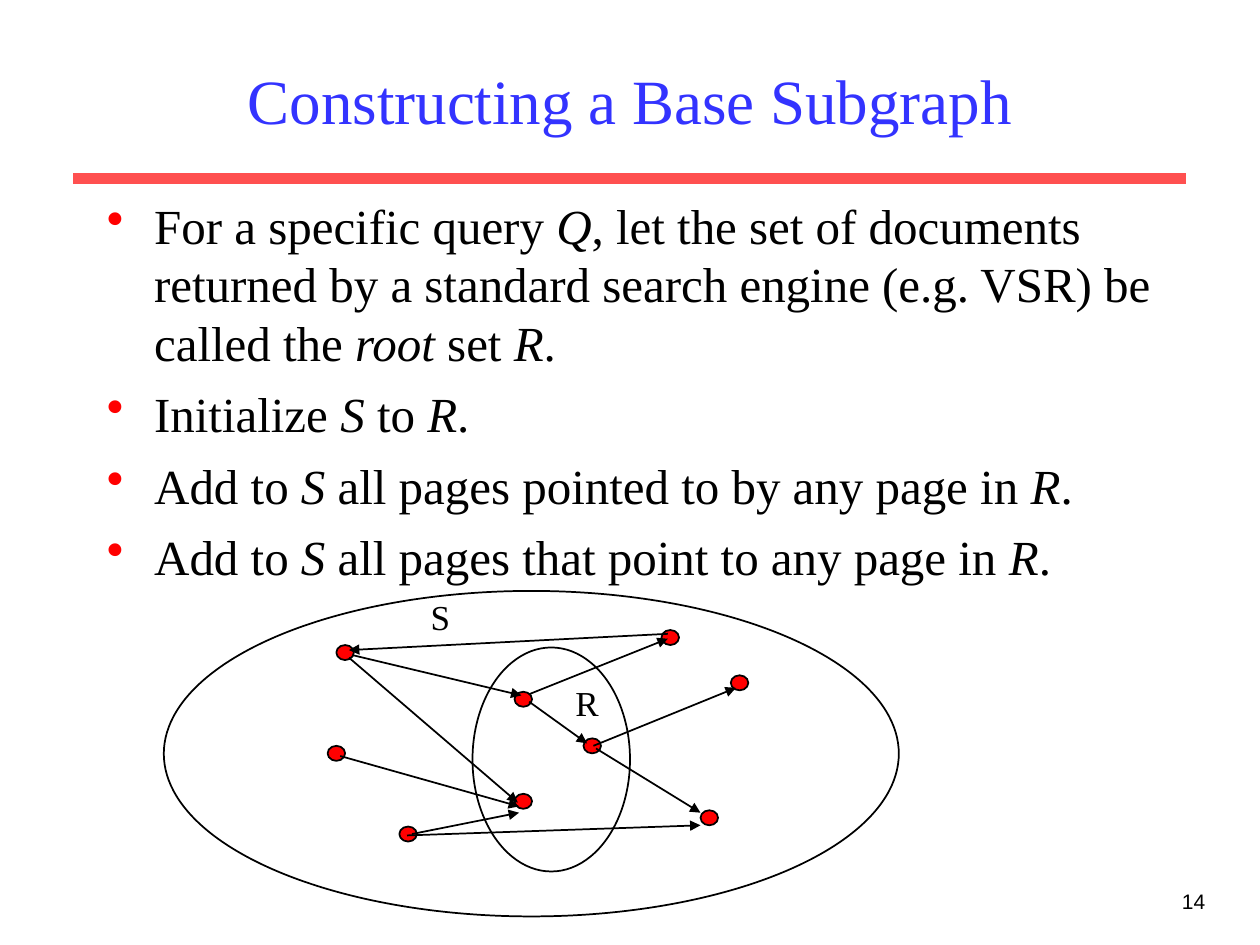
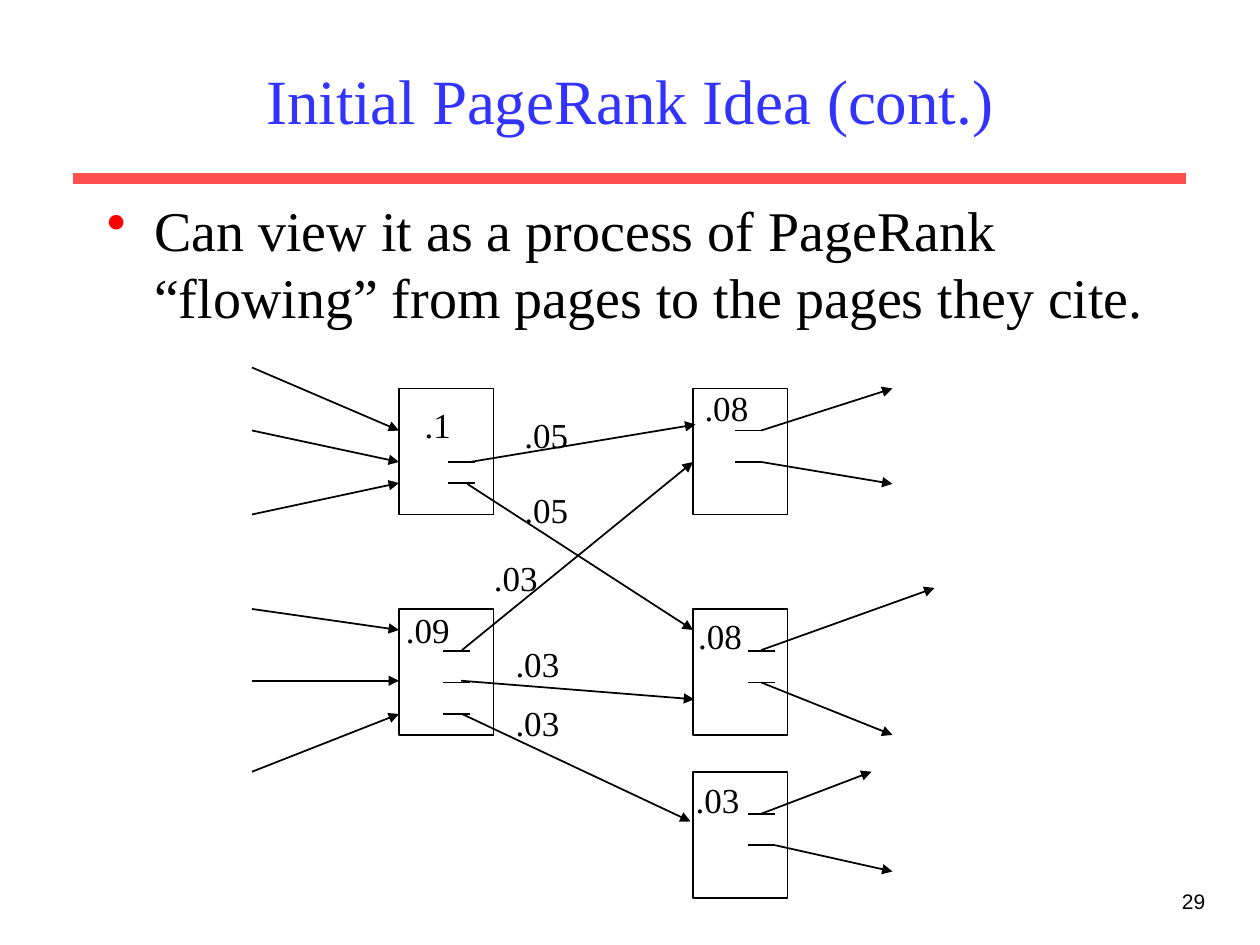
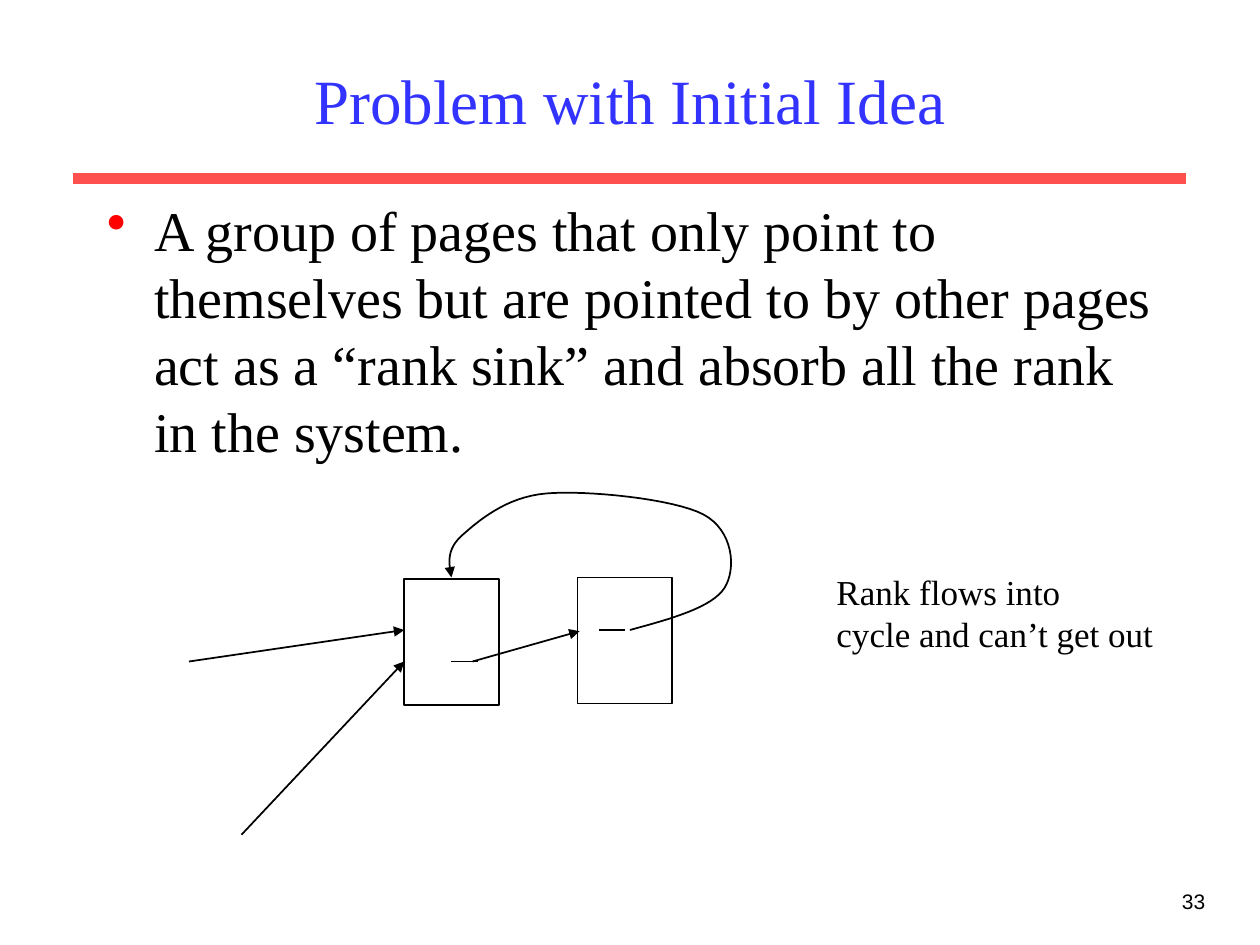
import pptx
import pptx.util
import pptx.dml.color
import pptx.enum.shapes
import pptx.enum.text
import pptx.oxml
import pptx.oxml.ns

Pt = pptx.util.Pt
SHAPES = pptx.enum.shapes.MSO_SHAPE
ALIGN = pptx.enum.text.PP_ALIGN
ANCHOR = pptx.enum.text.MSO_ANCHOR
AUTO_SIZE = pptx.enum.text.MSO_AUTO_SIZE

SERIF, SANS = "Times New Roman", "Arial"
BLACK, BLUE, RED, CORAL = "000000", "3333FF", "FF0000", "FF5050"


def color(hex_code):
    return pptx.dml.color.RGBColor.from_string(hex_code)


def xml(tag, content=""):
    return pptx.oxml.parse_xml(f"<a:{tag} {pptx.oxml.ns.nsdecls('a')}>{content}</a:{tag.split()[0]}>")


def write(paragraph, text, size=20, font=SERIF, ink=BLACK, align=ALIGN.LEFT):
    """Fill a paragraph; parts between asterisks are italic."""
    paragraph.alignment = align
    for number, part in enumerate(text.split("*")):
        if part:
            run = paragraph.add_run()
            run.text = part
            run.font.size = Pt(size)
            run.font.name = font
            run.font.color.rgb = color(ink)
            run.font.italic = number % 2 == 1


def bezier_points(start, curves, steps=16):
    """Points along a chain of cubic curves."""
    points = []
    for first, second, end in curves:
        for step in range(1, steps + 1):
            t = step / steps
            u = 1 - t
            points.append(tuple(
                u**3 * a + 3 * u * u * t * b + 3 * u * t * t * c + t**3 * d
                for a, b, c, d in zip(start, first, second, end)))
        start = end
    return points


class Deck:
    def __init__(self):
        self.presentation = pptx.Presentation()
        self.presentation.slide_width = Pt(720)
        self.presentation.slide_height = Pt(540)
        self.slide = None

    def new_slide(self, heading, page):
        self.slide = self.presentation.slides.add_slide(self.presentation.slide_layouts[5])
        # Band under the title
        self.line(42, 102, 678, 102, ink=CORAL, width=6)
        # Page number
        self.text(545.8, 504, 150, 36, [page], wrap=True, size=12, font=SANS, align=ALIGN.RIGHT)
        # Title
        title = self.slide.shapes.title
        title.left, title.top, title.width, title.height = Pt(54), Pt(18), Pt(612), Pt(78)
        title.text_frame.vertical_anchor = ANCHOR.MIDDLE
        title.text_frame.auto_size = AUTO_SIZE.NONE
        write(title.text_frame.paragraphs[0], heading, size=36, ink=BLUE, align=ALIGN.CENTER)

    def text(self, left, top, width, height, lines, wrap=False, **style):
        frame = self.slide.shapes.add_textbox(Pt(left), Pt(top), Pt(width), Pt(height)).text_frame
        frame.word_wrap = wrap
        frame.auto_size = AUTO_SIZE.NONE if wrap else AUTO_SIZE.SHAPE_TO_FIT_TEXT
        for number, line in enumerate(lines):
            write(frame.add_paragraph() if number else frame.paragraphs[0], line, **style)
        return frame

    def label(self, center, top, text, width=39.6, align=ALIGN.CENTER):
        self.text(center - width / 2, top, width, 31.7, [text], align=align)

    def bullets(self, items, size, before, width=612):
        frame = self.text(54, 108, width, 369, items, wrap=True, size=size)
        for paragraph in frame.paragraphs:
            paragraph.space_before = Pt(before)
            properties = paragraph._p.get_or_add_pPr()
            properties.set("marL", str(Pt(27)))
            properties.set("indent", str(-Pt(27)))
            properties.append(xml("buClr", f'<a:srgbClr val="{RED}"/>'))
            properties.append(xml('buChar char="•"'))

    def line(self, x1, y1, x2, y2, ink=BLACK, width=1, arrow=False):
        connector = self.slide.shapes.add_connector(
            pptx.enum.shapes.MSO_CONNECTOR.STRAIGHT, Pt(x1), Pt(y1), Pt(x2), Pt(y2))
        self.outline(connector, ink, width, arrow)
        connector._element.spPr.append(xml("effectLst"))

    def arrows(self, ends):
        for x1, y1, x2, y2 in ends:
            self.line(x1, y1, x2, y2, arrow=True)

    def outline(self, shape, ink=BLACK, width=1, arrow=False):
        shape.line.color.rgb = color(ink)
        shape.line.width = Pt(width)
        if arrow:
            shape.line._get_or_add_ln().append(xml('tailEnd type="triangle"'))

    def shape(self, kind, left, top, width, height, fill=None):
        shape = self.slide.shapes.add_shape(kind, Pt(left), Pt(top), Pt(width), Pt(height))
        self.finish(shape, fill)

    def finish(self, shape, fill=None, arrow=False):
        shape.shadow.inherit = False
        if fill:
            shape.fill.solid()
            shape.fill.fore_color.rgb = color(fill)
        else:
            shape.fill.background()
        self.outline(shape, arrow=arrow)

    def curved_arrow(self, start, curves):
        builder = self.slide.shapes.build_freeform(Pt(start[0]), Pt(start[1]))
        builder.add_line_segments(
            [(Pt(x), Pt(y)) for x, y in bezier_points(start, curves)], close=False)
        self.finish(builder.convert_to_shape(), arrow=True)

    def page_box(self, left, top, links=()):
        """A web page with short strokes for its outgoing links."""
        self.shape(SHAPES.RECTANGLE, left, top, 54, 72)
        for x, y in links:
            self.line(x, y, x + 15, y)


def base_subgraph(deck):
    deck.new_slide("Constructing a Base Subgraph", "14")
    deck.bullets([
        "For a specific query *Q*, let the set of documents returned by a standard "
        "search engine (e.g. VSR) be called the *root* set *R*.",
        "Initialize *S *to *R*.",
        "Add to *S *all pages pointed to by any page in *R*.",
        "Add to *S* all pages that point to any page in *R*.",
    ], size=28, before=7, width=636)
    # Pages
    for x, y in [(294, 395.3), (333.4, 421.9), (294, 453.6), (417.6, 385.9), (400.3, 463),
                 (192.2, 368.6), (187.2, 426.2), (378, 360), (228.2, 472.3)]:
        deck.shape(SHAPES.OVAL, x, y, 10, 8.6, fill=RED)
    # Root set and base set
    deck.shape(SHAPES.OVAL, 270, 370, 90, 128)
    deck.label(335.5, 385.9, "R", width=27.4, align=ALIGN.RIGHT)
    deck.shape(SHAPES.OVAL, 93.6, 337.7, 420, 186)
    deck.label(251.6, 337, "S", width=25.2)
    # Links between pages
    deck.arrows([
        (201.6, 374.4, 298, 397.4), (199.4, 375.8, 295.9, 458.6),
        (194.4, 432, 296.6, 460.8), (235.4, 476.6, 296.6, 464.4),
        (232.6, 477.4, 400.3, 471.6), (340.6, 427.7, 400.3, 464.4),
        (339.1, 426.2, 420.5, 393.1), (302.4, 401, 335.5, 424.8),
        (302.4, 396.7, 381.6, 365), (381.6, 362.2, 199.4, 371.5)])


def rank_flow(deck):
    deck.new_slide("Initial PageRank Idea (cont.)", "29")
    deck.bullets(["Can view it as a process of PageRank “flowing” from pages to the pages "
                  "they cite."], size=32, before=8)
    # Citing pages, then cited pages
    deck.page_box(228, 222, [(256.3, 264), (256.3, 276)])
    deck.page_box(228, 348, [(253.4, 372), (253.4, 390), (253.4, 408)])
    deck.page_box(396, 222, [(420, 246), (420, 264)])
    deck.page_box(396, 348, [(427.7, 372), (427.7, 390)])
    deck.page_box(396, 441, [(427.7, 465), (427.7, 483)])
    # Flow between the pages
    deck.arrows([
        (268.6, 264, 397.4, 242.6), (267, 276.5, 396, 360), (264, 371.5, 396, 264),
        (263.5, 389, 396.7, 399.6), (264, 408, 394.6, 469.4)])
    # Flow out
    deck.arrows([
        (435, 246, 510, 222), (435, 264, 510, 276.5), (435, 371.5, 534, 336),
        (435, 390, 510, 420), (435, 465, 498, 441), (443, 483, 510, 498)])
    # Flow in
    for start, end in [(210, 246), (246, 264), (294, 276), (348, 360), (389, 389), (441, 408)]:
        deck.line(144, start, 228, end, arrow=True)
    # Rank of each page and share on each link
    for center, top, rank in [
            (250.2, 226.8, ".1"), (244.4, 344.2, ".09"),
            (312.1, 232.6, ".05"), (312.1, 275.8, ".05"),
            (294.8, 314.6, ".03"), (307.1, 363.6, ".03"), (307.1, 397.4, ".03"),
            (415.1, 217.4, ".08"), (411.5, 347.8, ".08"), (410, 441.4, ".03")]:
        deck.label(center, top, rank)


def rank_sink(deck):
    deck.new_slide("Problem with Initial Idea", "33")
    deck.bullets(["A group of pages that only point to themselves but are pointed to by other "
                  "pages act as a “rank sink” and absorb all the rank in the system."],
                 size=32, before=8)
    # Pages in the cycle
    deck.page_box(231, 331, [(258, 378)])
    deck.page_box(330, 330, [(342, 360)])
    # Links of the cycle
    deck.line(270, 378, 331.2, 360.7, arrow=True)
    deck.curved_arrow((360, 360), [
        ((384, 353.5), (407, 347), (414, 336)),
        ((421, 325), (419, 303), (402, 294)),
        ((385, 285), (335, 280), (312, 282)),
        ((289, 284), (273, 298), (264, 306)),
        ((255, 314), (256.5, 322), (258, 330))])
    # Links into the cycle
    deck.arrows([(108, 378, 231, 360), (138, 477, 231, 378)])
    deck.text(470.9, 322.6, 195.8, 55.4, ["Rank flows into", "cycle and can’t get out"])


def main():
    deck = Deck()
    base_subgraph(deck)
    rank_flow(deck)
    rank_sink(deck)
    deck.presentation.save("out.pptx")


if __name__ == "__main__":
    main()
